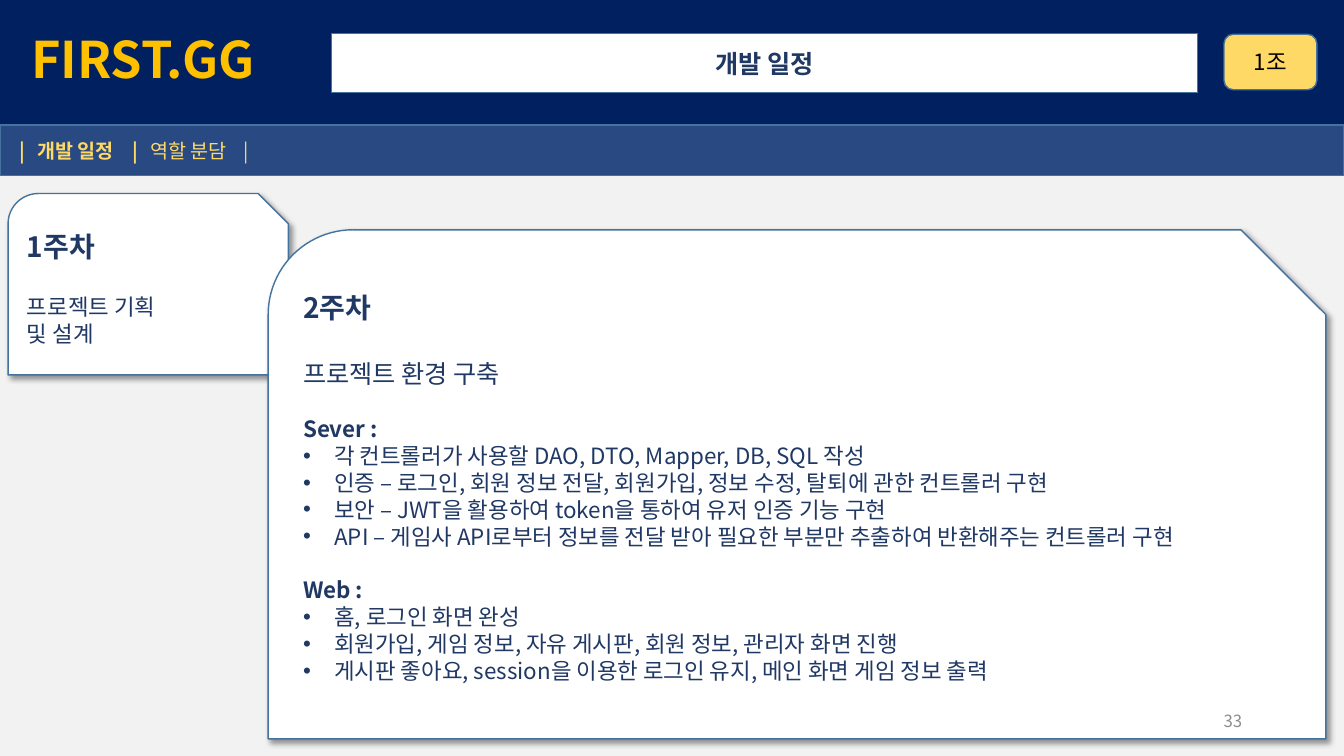
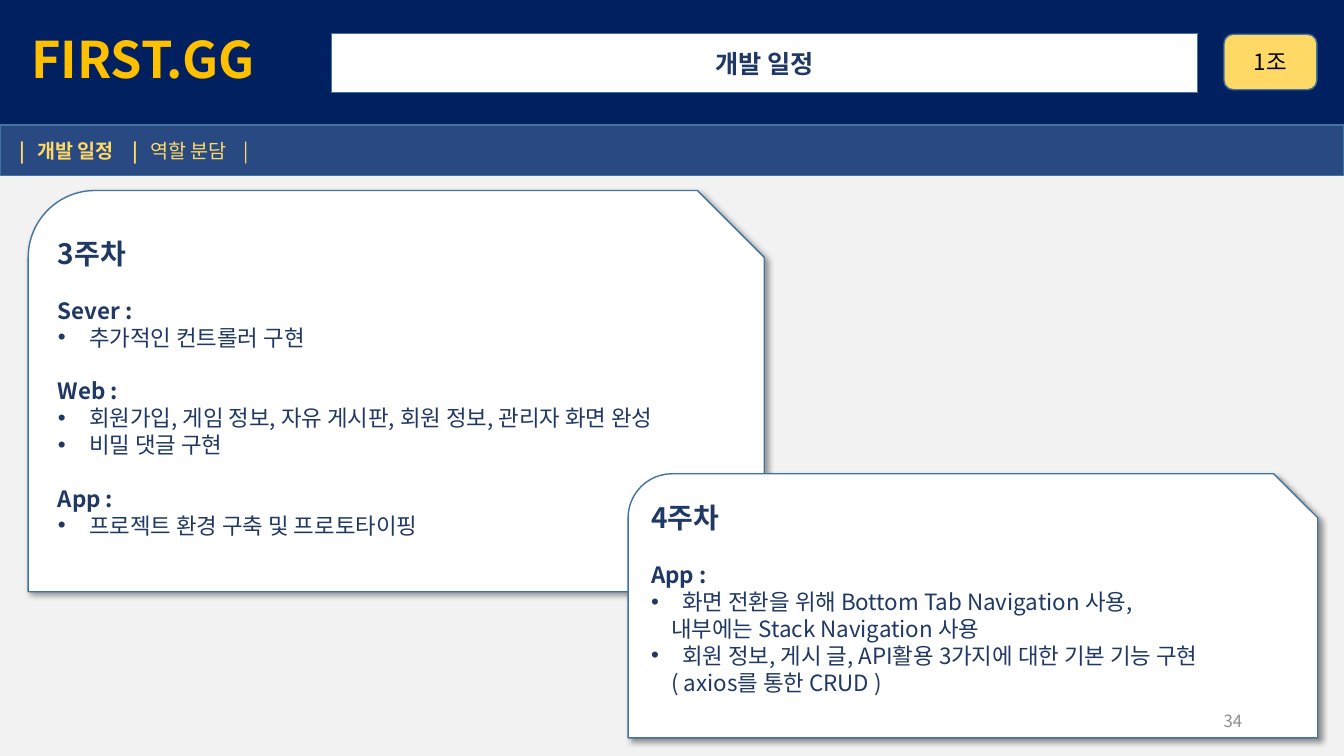
from dataclasses import dataclass
from lxml import etree
from pptx import Presentation
from pptx.dml.color import RGBColor
from pptx.enum.shapes import MSO_SHAPE as Shape
from pptx.enum.text import MSO_ANCHOR as Anchor, MSO_AUTO_SIZE as AutoSize, PP_ALIGN as Align
from pptx.oxml import parse_xml
from pptx.oxml.ns import nsdecls, qn
from pptx.util import Inches, Pt


@dataclass(frozen=True)
class Theme:
    font: str = "Noto Sans CJK KR"
    paper: str = "F2F2F2"
    white: str = "FFFFFF"
    black: str = "000000"
    navy: str = "002060"
    blue: str = "294983"
    edge: str = "43739E"
    ink: str = "203864"
    gold: str = "FFC000"
    sand: str = "FFD966"
    grey: str = "8C8C8C"
    brand_size: int = 36
    heading_size: int = 20
    title_size: int = 18
    body_size: int = 16
    nav_size: int = 14
    number_size: int = 12


THEME = Theme()
BRAND, TITLE, TEAM = "FIRST.GG", "개발 일정", "1조"
NAV = [("|\t개발 일정\t|\t", True), ("역할 분담\t|", False)]
NAV_TABS = [0.18, 1.12, 1.3, 2.23]

# style: size, bold, space before in points, left indent in inches, bullet
STYLES = {
    "heading": (THEME.heading_size, True, 0, 0, False),
    "lead": (THEME.title_size, False, 24, 0, False),
    "summary": (THEME.body_size, False, 21.6, 0, False),
    "label": (THEME.body_size, True, 19.2, 0, False),
    "item": (THEME.body_size, False, 0, 0.31, True),
    "more": (THEME.body_size, False, 0, 0.2, False),
}

# each card: left, top, width, height, inset above the text, paragraphs
PAGES = [
    (33, [
        ((0.08, 1.92, 2.78, 1.8), 0.27, [
            ("heading", "1주차"),
            ("summary", "프로젝트 기획\v및 설계"),
        ]),
        ((2.66, 2.28, 10.49, 5.05), 0.36, [
            ("heading", "2주차"),
            ("lead", "프로젝트 환경 구축"),
            ("label", "Sever :"),
            ("item", "각 컨트롤러가 사용할 DAO, DTO, Mapper, DB, SQL 작성"),
            ("item", "인증 – 로그인, 회원 정보 전달, 회원가입, 정보 수정, 탈퇴에 관한 컨트롤러 구현"),
            ("item", "보안 – JWT을 활용하여 token을 통하여 유저 인증 기능 구현"),
            ("item", "API – 게임사 API로부터 정보를 전달 받아 필요한 부분만 추출하여 반환해주는 컨트롤러 구현"),
            ("label", "Web :"),
            ("item", "홈, 로그인 화면 완성"),
            ("item", "회원가입, 게임 정보, 자유 게시판, 회원 정보, 관리자 화면 진행"),
            ("item", "게시판 좋아요, session을 이용한 로그인 유지, 메인 화면 게임 정보 출력"),
        ]),
    ]),
    (34, [
        ((0.28, 1.89, 7.3, 3.98), 0.26, [
            ("heading", "3주차"),
            ("label", "Sever :"),
            ("item", "추가적인 컨트롤러 구현"),
            ("label", "Web :"),
            ("item", "회원가입, 게임 정보, 자유 게시판, 회원 정보, 관리자 화면 완성"),
            ("item", "비밀 댓글 구현"),
            ("label", "App :"),
            ("item", "프로젝트 환경 구축 및 프로토타이핑"),
        ]),
        ((6.23, 4.7, 6.84, 2.62), 0.14, [
            ("heading", "4주차"),
            ("label", "App :"),
            ("item", "화면 전환을 위해 Bottom Tab Navigation 사용,"),
            ("more", "내부에는 Stack Navigation 사용"),
            ("item", "회원 정보, 게시 글, API활용 3가지에 대한 기본 기능 구현"),
            ("more", "( axios를 통한 CRUD )"),
        ]),
    ]),
]


def style_font(font, size, color, bold=False):
    for name, value in {"name": THEME.font, "size": Pt(size), "bold": bold}.items():
        setattr(font, name, value)
    font.color.rgb = RGBColor.from_string(color)


def add_span(para, text, size, color, bold=False):
    """Add text to a paragraph, with the font set for Korean letters too."""
    for index, line in enumerate(text.split("\v")):
        if index:
            para.add_line_break()
        span = para.add_run()
        span.text = line
        style_font(span.font, size, color, bold)
        latin = span.font._element.find(qn("a:latin"))
        latin.addnext(parse_xml(f'<a:ea {nsdecls("a")} typeface="{THEME.font}"/>'))


def paint(box, fill, line=None):
    box.fill.solid()
    box.fill.fore_color.rgb = RGBColor.from_string(fill)
    if line:
        box.line.color.rgb = RGBColor.from_string(line)
        box.line.width = Pt(1)
    else:
        box.line.fill.background()


def set_frame(box, anchor=Anchor.MIDDLE, left=0.1, top=0.05):
    frame = box.text_frame
    values = {"word_wrap": True, "auto_size": AutoSize.NONE, "vertical_anchor": anchor,
              "margin_left": Inches(left), "margin_right": Inches(0.1),
              "margin_top": Inches(top), "margin_bottom": Inches(0.05)}
    for name, value in values.items():
        setattr(frame, name, value)
    return frame


def add_panel(page, kind, place, fill, line=None, left=0.1):
    box = page.shapes.add_shape(kind, *map(Inches, place))
    box.shadow.inherit = False
    paint(box, fill, line)
    return set_frame(box, left=left).paragraphs[0]


def shape_placeholder(page, box, place, preset):
    """Move a placeholder to the front, and give it an outline and white fill."""
    page.shapes._spTree.append(box.element)
    for name, value in zip(("left", "top", "width", "height"), place):
        setattr(box, name, Inches(value))
    box.element.spPr.append(parse_xml(
        f'<a:prstGeom {nsdecls("a")} prst="{preset}"><a:avLst/></a:prstGeom>'))
    paint(box, THEME.white, THEME.edge)


def add_shadow(box):
    box.element.spPr.append(parse_xml(
        f'<a:effectLst {nsdecls("a")}><a:outerShdw blurRad="{Pt(4)}" dist="{Pt(3)}" '
        f'dir="2700000" algn="tl" rotWithShape="0"><a:srgbClr val="{THEME.black}">'
        '<a:alpha val="40000"/></a:srgbClr></a:outerShdw></a:effectLst>'))


def set_indent(para, indent, bullet):
    props = para._p.get_or_add_pPr()
    props.set("marL", str(Inches(indent)))
    props.set("indent", str(-Inches(indent) if bullet else 0))
    if bullet:
        etree.SubElement(props, qn("a:buFont"), typeface="Arial")
        etree.SubElement(props, qn("a:buChar"), char="•")
    else:
        etree.SubElement(props, qn("a:buNone"))


def draw_header(page):
    brand = add_panel(page, Shape.RECTANGLE, (0, 0, 13.33, 1.24), THEME.navy, left=0.31)
    brand.alignment, brand.line_spacing = Align.LEFT, 0.9
    add_span(brand, BRAND, THEME.brand_size, THEME.gold, True)

    title = page.shapes.title
    shape_placeholder(page, title, (3.29, 0.33, 8.59, 0.59), "roundRect")
    heading = set_frame(title).paragraphs[0]
    heading.alignment = Align.CENTER
    add_span(heading, TITLE, THEME.title_size, THEME.ink, True)

    team = add_panel(page, Shape.ROUNDED_RECTANGLE, (12.14, 0.34, 0.92, 0.55),
                     THEME.sand, THEME.edge)
    team.alignment = Align.CENTER
    add_span(team, TEAM, THEME.body_size, THEME.black)

    nav = add_panel(page, Shape.RECTANGLE, (0, 1.24, 13.33, 0.5),
                    THEME.blue, THEME.edge, left=0.19)
    nav.alignment = Align.LEFT
    tabs = etree.SubElement(nav._p.get_or_add_pPr(), qn("a:tabLst"))
    for stop in NAV_TABS:
        etree.SubElement(tabs, qn("a:tab"), pos=str(Inches(stop)), algn="l")
    for text, bold in NAV:
        add_span(nav, text, THEME.nav_size, THEME.sand, bold)


def draw_card(page, box, place, inset, lines):
    shape_placeholder(page, box, place, "snipRoundRect")
    add_shadow(box)
    frame = set_frame(box, Anchor.TOP, top=inset)
    for index, (style, text) in enumerate(lines):
        size, bold, gap, indent, bullet = STYLES[style]
        para = frame.add_paragraph() if index else frame.paragraphs[0]
        set_indent(para, indent, bullet)
        para.alignment, para.space_before = Align.LEFT, Pt(gap)
        add_span(para, text, size, THEME.ink, bold)


def draw_number(page, number):
    box = page.shapes.add_textbox(*map(Inches, (9.42, 6.95, 3, 0.4)))
    para = set_frame(box).paragraphs[0]
    para.alignment = Align.RIGHT
    add_span(para, str(number), THEME.number_size, THEME.grey)


def main():
    deck = Presentation()
    deck.slide_width, deck.slide_height = Inches(13.33), Inches(7.5)
    backdrop = deck.slide_master.background.fill
    backdrop.solid()
    backdrop.fore_color.rgb = RGBColor.from_string(THEME.paper)
    two_content = deck.slide_layouts[3]
    for number, cards in PAGES:
        page = deck.slides.add_slide(two_content)
        bodies = list(page.placeholders)[1:]
        draw_header(page)
        for box, card in zip(bodies, cards):
            draw_card(page, box, *card)
        draw_number(page, number)
    deck.save("out.pptx")


if __name__ == "__main__":
    main()
